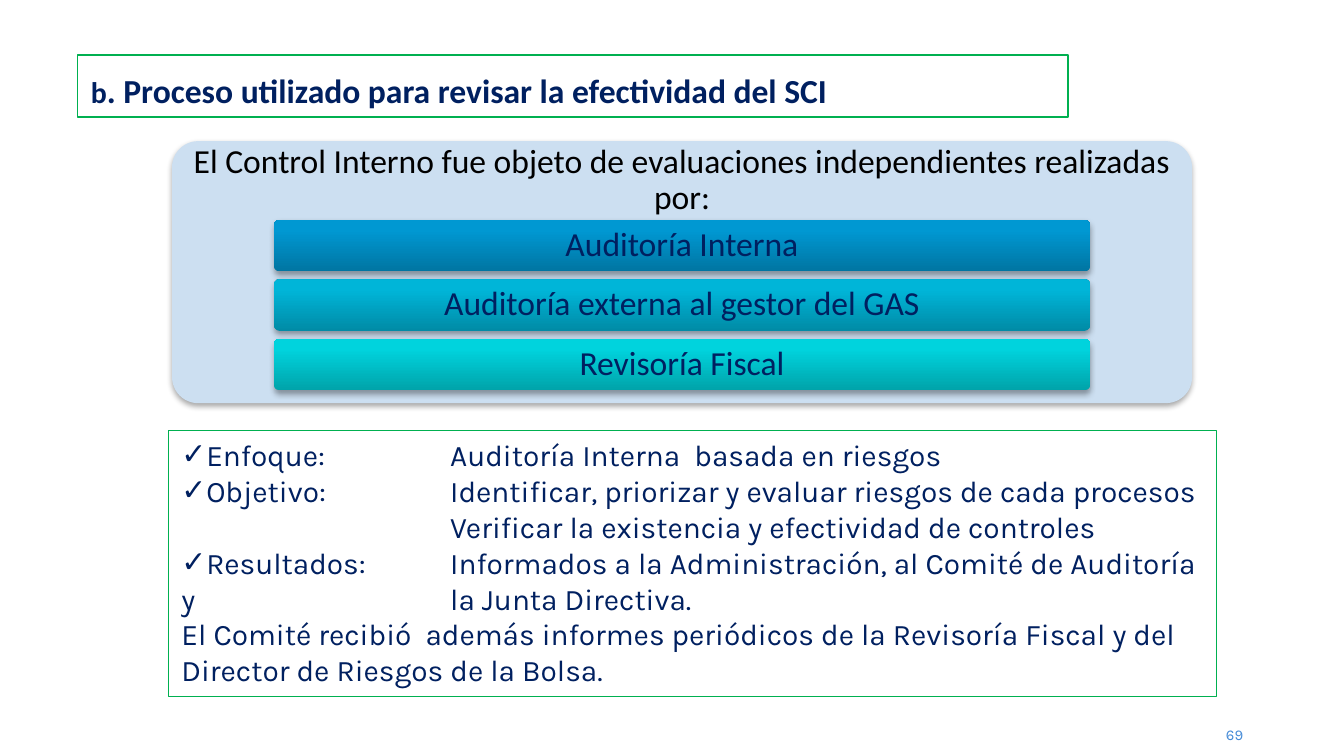
from lxml import etree
from pptx import Presentation
from pptx.dml.color import RGBColor
from pptx.enum.shapes import MSO_SHAPE
from pptx.enum.text import MSO_ANCHOR, PP_ALIGN
from pptx.oxml import parse_xml
from pptx.oxml.ns import nsdecls, qn
from pptx.util import Inches, Pt

RECTANGLE, ROUNDED = MSO_SHAPE.RECTANGLE, MSO_SHAPE.ROUNDED_RECTANGLE
TOP, MIDDLE, BOTTOM = MSO_ANCHOR.TOP, MSO_ANCHOR.MIDDLE, MSO_ANCHOR.BOTTOM
LEFT, CENTER, RIGHT = PP_ALIGN.LEFT, PP_ALIGN.CENTER, PP_ALIGN.RIGHT

NAVY = RGBColor(0x00, 0x20, 0x60)
BLACK = RGBColor(0x00, 0x00, 0x00)
WHITE = RGBColor(0xFF, 0xFF, 0xFF)
GREEN = RGBColor(0x00, 0xB0, 0x50)
PALE_BLUE = RGBColor(0xCC, 0xDF, 0xF1)
PAGE_BLUE = RGBColor(0x44, 0x8A, 0xD7)

AUDITORS = [
    ("Auditoría Interna", RGBColor(0x00, 0x75, 0xA2), RGBColor(0x00, 0x98, 0xD2)),
    ("Auditoría externa al gestor del GAS", RGBColor(0x00, 0x8B, 0xA6), RGBColor(0x00, 0xB5, 0xD8)),
    ("Revisoría Fiscal", RGBColor(0x00, 0xA3, 0xAA), RGBColor(0x00, 0xD3, 0xDD)),
]
DETAIL_INDENT = Inches(2)
FINDINGS = [
    ("Enfoque:\tAuditoría Interna  basada en riesgos", True, 0),
    ("Objetivo:\tIdentificar, priorizar y evaluar riesgos de cada procesos", True, 0),
    ("Verificar la existencia y efectividad de controles", False, DETAIL_INDENT),
    ("Resultados:\tInformados a la Administración, al Comité de Auditoría y\tla Junta Directiva.", True, 0),
    ("El Comité recibió  además informes periódicos de la Revisoría Fiscal y del "
     "Director de Riesgos de la Bolsa.", False, 0),
]

prs = Presentation()
prs.slide_width = Inches(10)
prs.slide_height = prs.slide_width * 9 // 16
COL, ROW = prs.slide_width / 100, prs.slide_height / 100
slide = prs.slides.add_slide(prs.slide_layouts[6])


def add_block(kind, x, y, w, h, soft_shadow=False):
    block = slide.shapes.add_shape(kind, int(x * COL), int(y * ROW), int(w * COL), int(h * ROW))
    block.shadow.inherit = False
    if kind == ROUNDED:
        block.adjustments[0] = 0.1
    if soft_shadow:
        block.line.fill.background()
        effects = block._element.spPr.find(qn("a:effectLst"))
        effects.append(parse_xml(
            f'<a:outerShdw {nsdecls("a")} blurRad="{Pt(3.1)}" dist="{Pt(1.8)}" dir="5400000" rotWithShape="0">'
            '<a:srgbClr val="000000"><a:alpha val="35000"/></a:srgbClr></a:outerShdw>'))
    else:
        block.fill.solid()
        block.fill.fore_color.rgb = WHITE
        block.line.color.rgb = GREEN
        block.line.width = Pt(0.75)
    return block


def write(block, lines, font, size, color, align, anchor, inset_x=0.1, inset_y=0.05):
    frame = block.text_frame
    frame.word_wrap = True
    frame.vertical_anchor = anchor
    frame.margin_left = frame.margin_right = Inches(inset_x)
    frame.margin_top = frame.margin_bottom = Inches(inset_y)
    frame.text = "\n".join(lines)
    for paragraph in frame.paragraphs:
        paragraph.alignment = align
        for run in paragraph.runs:
            run.font.name = font
            run.font.size = Pt(size)
            run.font.color.rgb = color
    return frame.paragraphs


page = slide.shapes.add_textbox(int(89.3 * COL), int(96 * ROW), int(3.2 * COL), int(2.4 * ROW))
write(page, ["69"], "Karla", 8, PAGE_BLUE, RIGHT, BOTTOM, 0, 0)

panel = add_block(ROUNDED, 12.8, 18.67, 75.9, 34.67, soft_shadow=True)
panel.fill.solid()
panel.fill.fore_color.rgb = PALE_BLUE
intro = slide.shapes.add_textbox(panel.left, panel.top, panel.width, int(10.5 * ROW))
intro_text = write(intro, ["El Control Interno fue objeto de evaluaciones independientes realizadas por:"],
                   "Calibri", 18, BLACK, CENTER, MIDDLE, 0.07, 0.07)
intro_text[0].line_spacing = 0.9

for index, (auditor, dark, light) in enumerate(AUDITORS):
    bar = add_block(ROUNDED, 20.4, 29.1 + 7.86 * index, 60.7, 6.8, soft_shadow=True)
    bar.fill.gradient()
    bar.fill.gradient_angle = 90
    for stop, color, position in zip(bar.fill.gradient_stops, (dark, light), (0, 0.8)):
        stop.color.rgb = color
        stop.position = position
    bar_text = write(bar, [auditor], "Calibri", 18, NAVY, CENTER, MIDDLE, 0.05, 0.04)
    bar_text[0].line_spacing = 0.9

findings = add_block(RECTANGLE, 12.52, 56.92, 78, 35.2)
paragraphs = write(findings, [line for line, _, _ in FINDINGS], "Karla", 16, NAVY, LEFT, TOP)
for paragraph, (_, checked, indent) in zip(paragraphs, FINDINGS):
    properties = paragraph._p.get_or_add_pPr()
    properties.set("marL", str(indent))
    properties.set("indent", "0")
    if checked:
        etree.SubElement(properties, qn("a:buFont")).set("typeface", "Karla")
        etree.SubElement(properties, qn("a:buChar")).set("char", "✓")
        tab = etree.SubElement(etree.SubElement(properties, qn("a:tabLst")), qn("a:tab"))
        tab.set("pos", str(DETAIL_INDENT))
        tab.set("algn", "l")

title = add_block(RECTANGLE, 5.78, 7.3, 73.7, 8.18)
heading = write(title, ["b"], "Calibri", 16, NAVY, LEFT, TOP)[0]
rest = heading.add_run()
rest.text = ". Proceso utilizado para revisar la efectividad del SCI"
rest.font.name = "Calibri"
rest.font.size = Pt(18)
rest.font.color.rgb = NAVY
for run in heading.runs:
    run.font.bold = True
heading.line_spacing = 1.2
heading.space_before = Pt(6)
heading.space_after = Pt(12)

prs.save("out.pptx")
